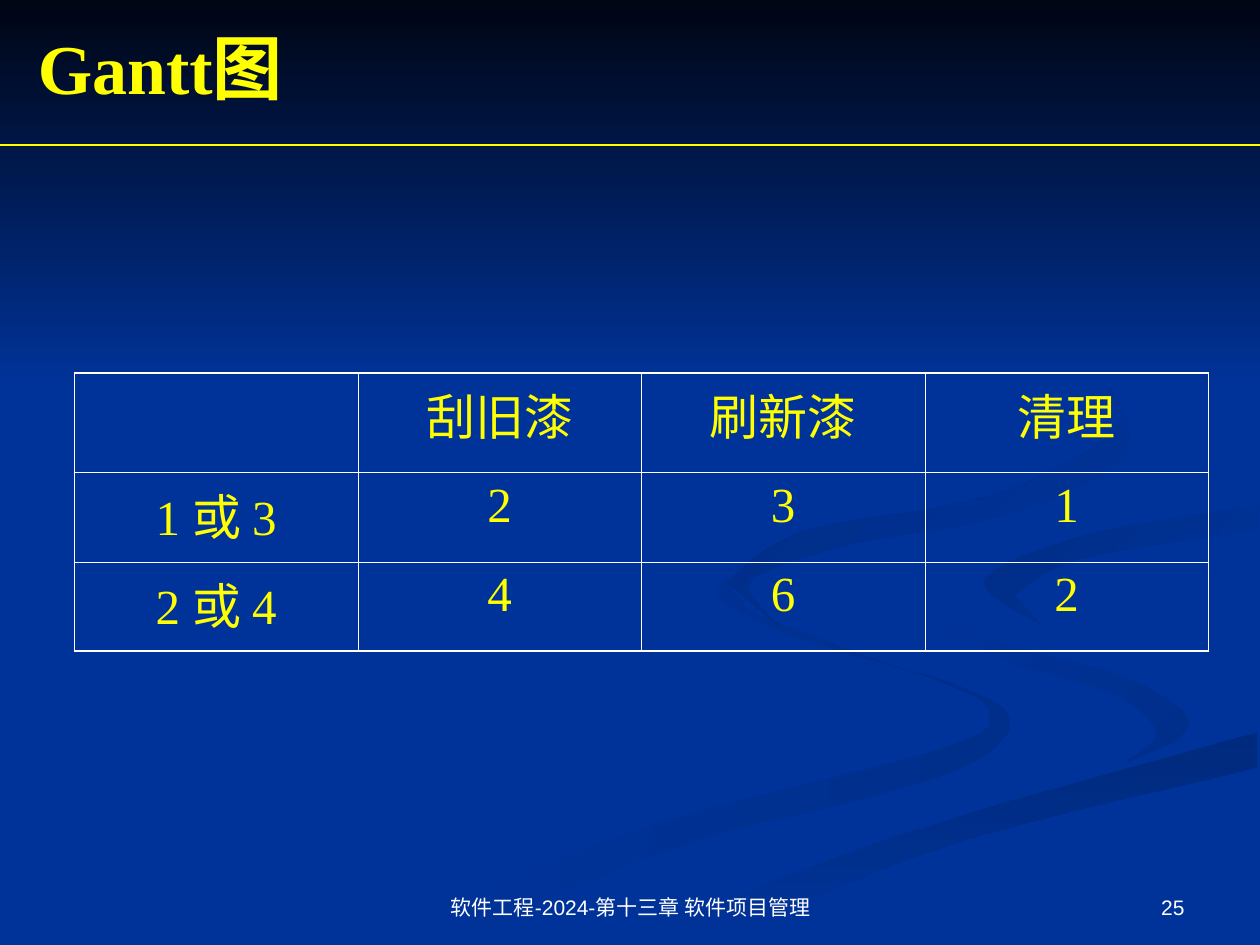
from dataclasses import dataclass

import pptx
import pptx.dml.color
import pptx.enum.shapes
import pptx.enum.text
import pptx.oxml
import pptx.oxml.ns
import pptx.util
from pptx.util import Inches

ALIGN = pptx.enum.text.PP_ALIGN
ANCHOR = pptx.enum.text.MSO_ANCHOR


@dataclass(frozen=True)
class Theme:
    blue: str = "003399"
    night: str = "000514"
    yellow: str = "FFFF00"
    white: str = "FFFFFF"
    serif: str = "Times New Roman"
    sans: str = "Arial"
    title_size: int = 40
    table_size: int = 28
    footer_size: int = 12
    rule_width: float = 0.75
    outer_border: float = 1.08
    inner_border: float = 0.45


THEME = Theme()
CURVE_STEPS = 6

# Ribbons: gradient start, gradient end, clockwise angle, smooth edges in 1/100 inch
RIBBONS = [
    (THEME.blue, "002E8B", 0, [
        [(300, 749), (499, 661), (749, 594), (785, 566), (752, 543), (631, 505),
         (572, 476), (575, 459)],
        [(594, 485), (682, 519), (781, 553), (800, 581), (740, 618), (532, 674),
         (361, 749)]]),
    (THEME.blue, "002E8B", 45, [
        [(894, 605), (918, 581), (880, 549), (797, 524), (733, 488), (724, 464)],
        [(745, 490), (811, 515), (905, 540), (943, 570), (932, 589)]]),
    ("002A7D", THEME.blue, 90, [
        [(571, 749), (649, 710), (785, 661), (998, 609)],
        [(998, 581), (764, 647), (630, 693), (503, 749)]]),
    (THEME.blue, THEME.blue, 0, [
        [(477, 749), (619, 684), (780, 634), (911, 600), (943, 570), (888, 535),
         (774, 503), (725, 464), (755, 432), (874, 408), (999, 387)],
        [(999, 402), (850, 424), (781, 463), (832, 492), (999, 538)],
        [(999, 581), (764, 647), (630, 693), (503, 749)]]),
    ("002D86", THEME.blue, 45, [
        [(998, 402), (865, 424), (781, 460), (826, 496)],
        [(805, 472), (859, 443), (998, 420)]]),
    ("002B82", THEME.blue, 45, [
        [(762, 233), (843, 275), (890, 324), (883, 370), (786, 412), (683, 430),
         (596, 461), (622, 500)],
        [(577, 462), (637, 422), (791, 392), (889, 335), (846, 279)]]),
    # Dark sky fading into the page colour
    (THEME.night, THEME.blue, 90, [[(0, 0), (1000, 0)], [(1000, 308), (0, 308)]]),
]

TABLE_ROWS = [
    ["", "刮旧漆", "刷新漆", "清理"],
    ["1 或 3", "2", "3", "1"],
    ["2 或 4", "4", "6", "2"],
]
ROW_HEIGHTS = [0.79, 0.71, 0.71]
COLUMN_WIDTH = 2.25


def color(value):
    return pptx.dml.color.RGBColor.from_string(value)


def set_values(target, values):
    for name, value in values.items():
        setattr(target, name, value)


def write_text(frame, text, size, font, ink, align, bold=False):
    para = frame.paragraphs[0]
    para.alignment = align
    span = para.add_run()
    span.text = text
    set_values(span.font, {"size": pptx.util.Pt(size), "name": font, "bold": bold})
    span.font.color.rgb = color(ink)


def place(box, left, top, width, height):
    set_values(box, {"left": Inches(left), "top": Inches(top),
                     "width": Inches(width), "height": Inches(height)})


def smooth(edge):
    """Run a Catmull-Rom curve through the points of an edge."""
    if len(edge) == 2:
        return edge
    padded = [edge[0], *edge, edge[-1]]
    curve = []
    for quad in zip(padded, padded[1:], padded[2:], padded[3:]):
        for step in range(CURVE_STEPS):
            t = step / CURVE_STEPS
            curve.append(tuple(
                b + t * (c - a + t * (2 * a - 5 * b + 4 * c - d
                                      + t * (3 * b - a - 3 * c + d))) / 2
                for a, b, c, d in zip(*quad)))
    return curve + [edge[-1]]


def add_ribbon(page, start, end, angle, edges):
    points = [point for edge in edges for point in smooth(edge)]
    builder = page.shapes.build_freeform(*points[0], scale=Inches(0.01))
    builder.add_line_segments(points[1:], close=True)
    ribbon = builder.convert_to_shape()
    ribbon.shadow.inherit = False
    ribbon.line.fill.background()
    if start == end:
        ribbon.fill.solid()
        ribbon.fill.fore_color.rgb = color(start)
        return
    ribbon.fill.gradient()
    ribbon.fill.gradient_angle = (360 - angle) % 360
    for stop, shade, position in zip(ribbon.fill.gradient_stops, (start, end), (0, 1)):
        stop.color.rgb = color(shade)
        stop.position = position


def add_title(page, text):
    title = page.shapes.title
    place(title, 0.2, 0.14, 9, 0.77)
    set_values(title.text_frame, {"word_wrap": True, "vertical_anchor": ANCHOR.MIDDLE,
                                  "auto_size": pptx.enum.text.MSO_AUTO_SIZE.NONE})
    write_text(title.text_frame, text, THEME.title_size, THEME.serif,
               THEME.yellow, ALIGN.LEFT, bold=True)
    # Bring the title in front of the ribbons
    page.shapes._spTree.append(title._element)


def add_rule(page, top):
    rule = page.shapes.add_connector(pptx.enum.shapes.MSO_CONNECTOR.STRAIGHT,
                                     0, Inches(top), Inches(10), Inches(top))
    rule.line.color.rgb = color(THEME.yellow)
    rule.line.width = pptx.util.Pt(THEME.rule_width)
    rule._element.spPr.append(pptx.oxml.parse_xml(
        f'<a:effectLst {pptx.oxml.ns.nsdecls("a")}/>'))


def add_footer(page, text, left, width, align):
    box = page.shapes.add_textbox(0, 0, 0, 0)
    place(box, left, 6.83, width, 0.52)
    set_values(box.text_frame, {"word_wrap": True, "vertical_anchor": ANCHOR.BOTTOM})
    write_text(box.text_frame, text, THEME.footer_size, THEME.sans, THEME.white, align)


def add_border(cell, side, width):
    cell._tc.get_or_add_tcPr().append(pptx.oxml.parse_xml(
        f'<a:ln{side} {pptx.oxml.ns.nsdecls("a")} w="{pptx.util.Pt(width)}">'
        f'<a:solidFill><a:srgbClr val="{THEME.white}"/></a:solidFill></a:ln{side}>'))


def add_grid(page, rows):
    last_row, last_column = len(rows) - 1, len(rows[0]) - 1
    frame = page.shapes.add_table(len(rows), len(rows[0]), Inches(0.59), Inches(2.96),
                                  Inches(COLUMN_WIDTH * len(rows[0])),
                                  Inches(sum(ROW_HEIGHTS)))
    table = frame.table
    set_values(table, {"first_row": False, "horz_banding": False})
    for column in table.columns:
        column.width = Inches(COLUMN_WIDTH)
    for i, texts in enumerate(rows):
        table.rows[i].height = Inches(ROW_HEIGHTS[i])
        for j, text in enumerate(texts):
            cell = table.cell(i, j)
            outer = {"L": j == 0, "R": j == last_column, "T": i == 0, "B": i == last_row}
            for side, is_outer in outer.items():
                add_border(cell, side, THEME.outer_border if is_outer else THEME.inner_border)
            cell.fill.background()
            if text:
                write_text(cell.text_frame, text, THEME.table_size, THEME.serif,
                           THEME.yellow, ALIGN.CENTER)


def main():
    deck = pptx.Presentation()
    set_values(deck, {"slide_width": Inches(10), "slide_height": Inches(7.5)})
    page = deck.slides.add_slide(deck.slide_layouts.get_by_name("Title Only"))

    # Backdrop
    page.background.fill.solid()
    page.background.fill.fore_color.rgb = color(THEME.blue)
    for ribbon in RIBBONS:
        add_ribbon(page, *ribbon)

    # Content
    add_title(page, "Gantt图")
    add_rule(page, 1.15)
    add_grid(page, TABLE_ROWS)

    # Footer
    add_footer(page, "软件工程-2024-第十三章 软件项目管理", 3.42, 3.17, ALIGN.CENTER)
    add_footer(page, "25", 7.17, 2.33, ALIGN.RIGHT)
    deck.save("out.pptx")


if __name__ == "__main__":
    main()
